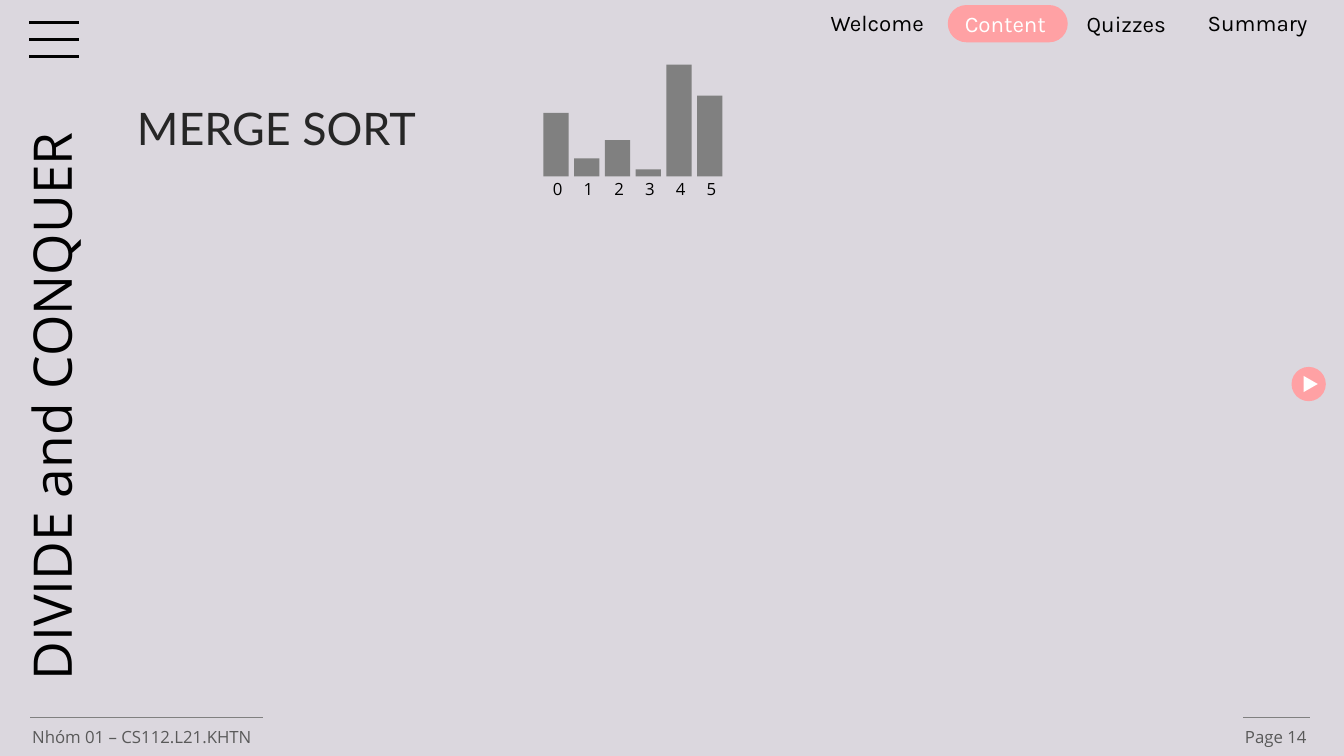
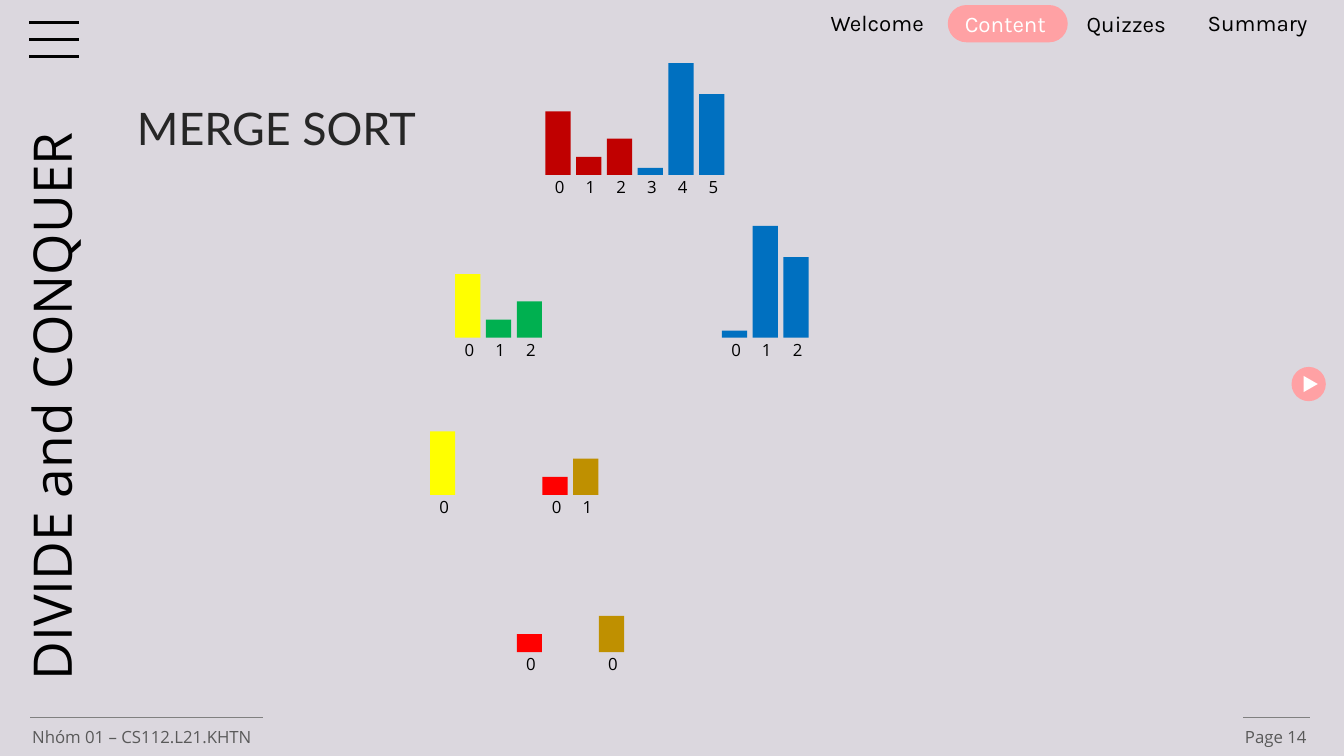
from pptx import Presentation
from pptx.dml.color import RGBColor
from pptx.enum.shapes import MSO_CONNECTOR, MSO_SHAPE
from pptx.enum.text import MSO_ANCHOR, PP_ALIGN
from pptx.oxml import parse_xml
from pptx.oxml.ns import nsdecls
from pptx.util import Inches, Pt

SLIDE_WIDTH, SLIDE_HEIGHT = 13.33, 7.5

LAVENDER = RGBColor(0xDB, 0xD7, 0xDE)
PINK = RGBColor(0xFF, 0xA1, 0xA4)
WHITE = RGBColor(0xFF, 0xFF, 0xFF)
BLACK = RGBColor(0x00, 0x00, 0x00)
CHARCOAL = RGBColor(0x26, 0x26, 0x26)
SLATE = RGBColor(0x59, 0x59, 0x59)
GREY = RGBColor(0x80, 0x80, 0x80)
DARK_RED = RGBColor(0xC0, 0x00, 0x00)
RED = RGBColor(0xFF, 0x00, 0x00)
BLUE = RGBColor(0x00, 0x70, 0xC0)
YELLOW = RGBColor(0xFF, 0xFF, 0x00)
GREEN = RGBColor(0x00, 0xB0, 0x50)
GOLD = RGBColor(0xBF, 0x90, 0x00)

NAV_FONT, TITLE_FONT, BODY_FONT = "Karla", "Lato", "Open Sans"

NAV_ITEMS = [("Welcome", 8.14, 0.04), ("Content", 9.47, 0.05),
             ("Quizzes", 10.68, 0.05), ("Summary", 11.88, 0.04)]
ACTIVE_ITEM = "Content"

BAR_WIDTH, BAR_PITCH = 0.25, 0.305
UNSORTED = [0.63, 0.18, 0.36, 0.07, 1.11, 0.8]
LEFT_HALF, RIGHT_HALF = UNSORTED[:3], UNSORTED[3:]

# Each array: left, baseline, bar heights, bar colours
WHOLE_ARRAY = [(5.39, 1.75, UNSORTED, [GREY] * 6)]
SPLIT_ARRAYS = [
    (5.41, 1.735, UNSORTED, [DARK_RED] * 3 + [BLUE] * 3),
    (4.515, 3.35, LEFT_HALF, [YELLOW, GREEN, GREEN]),
    (7.16, 3.35, RIGHT_HALF, [BLUE] * 3),
    (4.265, 4.91, LEFT_HALF[:1], [YELLOW]),
    (5.38, 4.91, LEFT_HALF[1:], [RED, GOLD]),
    (5.125, 6.47, LEFT_HALF[1:2], [RED]),
    (5.94, 6.47, LEFT_HALF[2:], [GOLD]),
]


def inches(*lengths):
    return [Inches(length) for length in lengths]


def add_filled_shape(shapes, kind, box, color):
    shape = shapes.add_shape(kind, *inches(*box))
    shape.shadow.inherit = False
    shape.fill.solid()
    shape.fill.fore_color.rgb = color
    shape.line.fill.background()
    return shape


def add_text(shapes, text, box, font, size, color, align=PP_ALIGN.LEFT,
             margins=(0.1, 0.05), wrap=True):
    """Place one run of text; margins are the side and the top inset."""
    text_box = shapes.add_textbox(*inches(*box))
    frame = text_box.text_frame
    frame.word_wrap = wrap
    frame.vertical_anchor = MSO_ANCHOR.TOP
    frame.margin_left = frame.margin_right = Inches(margins[0])
    frame.margin_top = frame.margin_bottom = Inches(margins[1])
    paragraph = frame.paragraphs[0]
    paragraph.alignment = align
    run = paragraph.add_run()
    run.text = text
    run.font.name = font
    run.font.size = Pt(size)
    run.font.color.rgb = color
    return text_box


def add_rule(shapes, left, top, width, color, weight):
    rule = shapes.add_connector(MSO_CONNECTOR.STRAIGHT,
                                *inches(left, top, left + width, top))
    rule.line.color.rgb = color
    rule.line.width = Pt(weight)
    rule._element.spPr.append(parse_xml(f"<a:effectLst {nsdecls('a')}/>"))


def add_menu_icon(shapes, left, top, width, gap):
    for row in range(3):
        add_rule(shapes, left, top + row * gap, width, BLACK, 2)


def add_navigation(shapes):
    pill = add_filled_shape(shapes, MSO_SHAPE.ROUNDED_RECTANGLE,
                            (9.4, 0.05, 1.19, 0.37), PINK)
    pill.adjustments[0] = 0.5
    for label, left, top in NAV_ITEMS:
        color = WHITE if label == ACTIVE_ITEM else BLACK
        add_text(shapes, label, (left, top, 1.32, 0.37), NAV_FONT, 16, color)


def add_sidebar_title(shapes, text, center_x, center_y, length, thickness):
    box = (center_x - length / 2, center_y - thickness / 2, length, thickness)
    add_text(shapes, text, box, BODY_FONT, 38, BLACK).rotation = 270


def add_footer_part(shapes, text, left, top, rule_width):
    add_rule(shapes, left, top, rule_width, GREY, 0.75)
    add_text(shapes, text, (left - 0.08, top + 0.04, rule_width + 0.3, 0.3),
             BODY_FONT, 12, SLATE, wrap=False)


def add_play_button(shapes, left, top, size):
    add_filled_shape(shapes, MSO_SHAPE.OVAL, (left, top, size, size), PINK)
    width, height = 0.16, 0.14
    arrow_box = (left + (size - width) / 2 + 0.02,
                 top + (size - height) / 2, width, height)
    arrow = add_filled_shape(shapes, MSO_SHAPE.ISOSCELES_TRIANGLE,
                             arrow_box, WHITE)
    arrow.rotation = 90


def add_bar_array(shapes, left, baseline, heights, colors):
    """Draw an array as a group of bars with their indices below."""
    members = shapes.add_group_shape().shapes
    for index, (height, color) in enumerate(zip(heights, colors)):
        bar_left = left + index * BAR_PITCH
        add_filled_shape(members, MSO_SHAPE.RECTANGLE,
                         (bar_left, baseline - height, BAR_WIDTH, height),
                         color)
        add_text(members, str(index),
                 (bar_left + 0.015, baseline + 0.02, BAR_WIDTH, 0.23),
                 BODY_FONT, 12, BLACK, PP_ALIGN.CENTER, (0, 0))


def add_sort_slide(presentation, arrays):
    slide = presentation.slides.add_slide(presentation.slide_layouts[6])
    slide.background.fill.solid()
    slide.background.fill.fore_color.rgb = LAVENDER
    shapes = slide.shapes
    add_navigation(shapes)
    add_menu_icon(shapes, 0.29, 0.22, 0.49, 0.17)
    add_sidebar_title(shapes, "DIVIDE and CONQUER", 0.58, 3.7, 6.3, 0.89)
    add_text(shapes, "MERGE SORT", (1.26, 0.95, 3.01, 0.64),
             TITLE_FONT, 32, CHARCOAL)
    add_play_button(shapes, 12.81, 3.64, 0.34)
    footer_top = SLIDE_HEIGHT - 0.38
    add_footer_part(shapes, "Nhóm 01 – CS112.L21.KHTN", 0.3, footer_top, 2.31)
    add_footer_part(shapes, "Page 14", SLIDE_WIDTH - 1, footer_top, 0.66)
    for array in arrays:
        add_bar_array(shapes, *array)


def main():
    presentation = Presentation()
    presentation.slide_width = Inches(SLIDE_WIDTH)
    presentation.slide_height = Inches(SLIDE_HEIGHT)
    for arrays in (WHOLE_ARRAY, SPLIT_ARRAYS):
        add_sort_slide(presentation, arrays)
    presentation.save("out.pptx")


if __name__ == "__main__":
    main()
